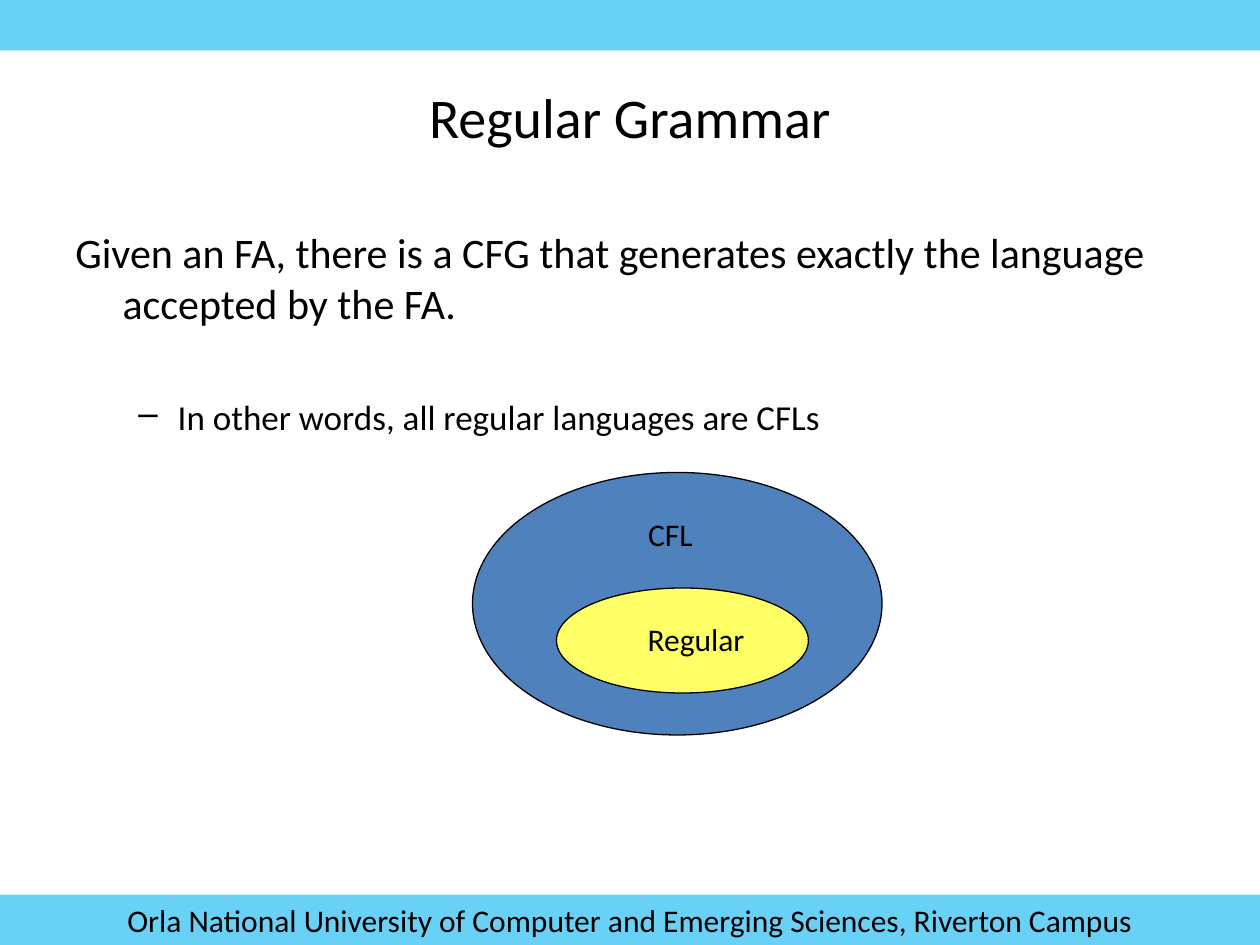
import dataclasses

import lxml.etree
import pptx
import pptx.dml.color
import pptx.enum.shapes
import pptx.enum.text
import pptx.oxml.ns
import pptx.util

Pt = pptx.util.Pt
ALIGN = pptx.enum.text.PP_ALIGN
ANCHOR = pptx.enum.text.MSO_ANCHOR
SHAPE = pptx.enum.shapes.MSO_SHAPE
FONT = "Calibri"
COLOURS = {"black": "000000", "band": "00B0F0", "cfl": "4F81BD", "regular": "FFFF66"}
PAGE_WIDTH, PAGE_HEIGHT, BAND_HEIGHT = 720, 540, 28.8


@dataclasses.dataclass(frozen=True)
class Frame:
    """Position and size in points."""
    left: float
    top: float
    width: float
    height: float

    def lengths(self):
        """Return the four values as lengths."""
        return [Pt(value) for value in dataclasses.astuple(self)]


@dataclasses.dataclass(frozen=True)
class LanguageSet:
    """An ellipse of the diagram and its label."""
    name: str
    colour: str
    frame: Frame
    label_frame: Frame
    label_margin: float = 0


def rgb(name: str):
    """Return a named colour."""
    return pptx.dml.color.RGBColor.from_string(COLOURS[name])


def add_child(parent, tag: str, **attributes: str):
    """Append a drawing element to its parent."""
    return lxml.etree.SubElement(parent, pptx.oxml.ns.qn(tag), **attributes)


def write(frame, text: str, *, size: float, align=ALIGN.LEFT, level: int = 0,
          margin: float = 0, indent: float = 0, before: float = 0, bullet: str = ""):
    """Write one formatted paragraph into a text frame."""
    para = frame.paragraphs[0]
    if para.runs:
        para = frame.add_paragraph()
    para.alignment, para.level, para.space_before = align, level, Pt(before)
    properties = para._p.get_or_add_pPr()
    properties.set("marL", str(Pt(margin)))
    properties.set("indent", str(Pt(indent)))
    if bullet:
        add_child(properties, "a:buChar", char=bullet)
    else:
        add_child(properties, "a:buNone")
    span = para.add_run()
    span.text = text
    span.font.name, span.font.size = FONT, Pt(size)
    span.font.color.rgb = rgb("black")


def add_box(page, frame: Frame, *, wrap: bool = True, anchor=ANCHOR.TOP):
    """Add a text box and return its text frame."""
    text_frame = page.shapes.add_textbox(*frame.lengths()).text_frame
    text_frame.word_wrap, text_frame.vertical_anchor = wrap, anchor
    return text_frame


def add_figure(page, kind, frame: Frame, colour: str, *, outline: bool = False):
    """Add a filled shape, with or without a black outline."""
    figure = page.shapes.add_shape(kind, *frame.lengths())
    figure.shadow.inherit = False
    figure.fill.solid()
    figure.fill.fore_color.rgb = rgb(colour)
    if outline:
        figure.line.color.rgb = rgb("black")
        figure.line.width = Pt(0.74)
    else:
        figure.line.fill.background()
    return figure


def add_band(page, top: float):
    """Add a translucent band across the page."""
    band = add_figure(page, SHAPE.RECTANGLE, Frame(0, top, PAGE_WIDTH, BAND_HEIGHT), "band")
    colour = band._element.spPr.find(".//" + pptx.oxml.ns.qn("a:srgbClr"))
    add_child(colour, "a:alpha", val="59000")
    return band


SETS = [
    LanguageSet("CFL", "cfl", Frame(270, 270, 234, 150), Frame(347, 291, 56, 29), 16.3),
    LanguageSet("Regular", "regular", Frame(318, 336, 144, 60), Frame(363, 351, 70, 29)),
]

deck = pptx.Presentation()
deck.slide_width, deck.slide_height = Pt(PAGE_WIDTH), Pt(PAGE_HEIGHT)
page = deck.slides.add_slide(deck.slide_layouts[6])

add_band(page, 0)
footer = add_band(page, PAGE_HEIGHT - BAND_HEIGHT)
footer.text_frame.vertical_anchor = ANCHOR.MIDDLE
write(footer.text_frame, "Orla National University of Computer and Emerging Sciences, Riverton Campus",
      size=18, align=ALIGN.CENTER)

title = add_box(page, Frame(36, 21.6, 648, 90), anchor=ANCHOR.MIDDLE)
write(title, "Regular Grammar", size=32, align=ALIGN.CENTER)

body = add_box(page, Frame(36, 126, 648, 356))
write(body, "Given an FA, there is a CFG that generates exactly the language accepted by the FA.",
      size=24, margin=27, indent=-27)
write(body, "In other words, all regular languages are CFLs",
      size=20, level=1, margin=58.5, indent=-22.5, before=39, bullet="–")

for language in SETS:
    add_figure(page, SHAPE.OVAL, language.frame, language.colour, outline=True)
for language in SETS:
    label = add_box(page, language.label_frame, wrap=False)
    write(label, language.name, size=18, margin=language.label_margin)

deck.save("out.pptx")
